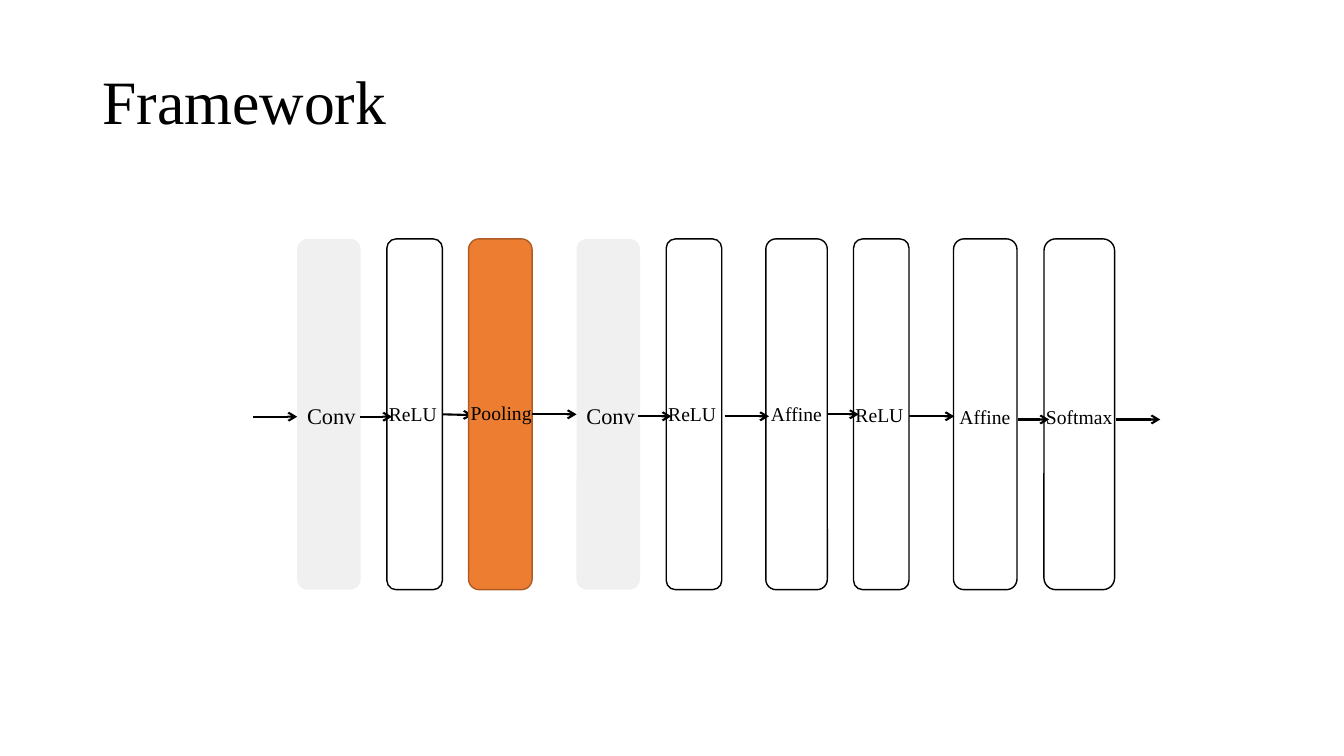
from lxml.etree import SubElement
from pptx import Presentation
from pptx.dml.color import RGBColor
from pptx.enum.shapes import MSO_CONNECTOR, MSO_SHAPE
from pptx.enum.text import MSO_ANCHOR
from pptx.oxml.ns import qn
from pptx.util import Cm, Pt


def color(value):
    return RGBColor.from_string(value)


class Diagram:
    font = "Times New Roman"
    ink = "000000"
    top, height = 6.02, 8.84
    middle = top + height / 2

    def __init__(self, slide):
        self.slide = slide

    def text(self, words, x, y, w, h, size, spacing=1.0):
        sp = self.slide.shapes.add_textbox(Cm(x), Cm(y), Cm(w), Cm(h))
        tf = sp.text_frame
        tf.word_wrap = True
        tf.vertical_anchor = MSO_ANCHOR.MIDDLE
        p = tf.paragraphs[0]
        p.text = words
        p.line_spacing = spacing
        p.font.name = self.font
        p.font.size = Pt(size)
        p.font.color.rgb = color(self.ink)

    def block(self, x, w, fill, line):
        sp = self.slide.shapes.add_shape(
            MSO_SHAPE.ROUNDED_RECTANGLE, Cm(x), Cm(self.top), Cm(w), Cm(self.height))
        sp.shadow.inherit = False
        sp.fill.solid()
        sp.fill.fore_color.rgb = color(fill)
        if line:
            sp.line.color.rgb = color(line)
            sp.line.width = Pt(1)
        else:
            sp.line.fill.background()
        return sp

    def layer(self, name, x, w, label_x, label_y):
        fill, line, size = STYLES.get(name, ("FFFFFF", self.ink, 14))
        sp = self.block(x, w, fill, line)
        self.text(name, label_x, label_y, 2.5, 0.055 * size + 0.08, size)
        return sp

    def arrow(self, x1, x2, y, source=None, target=None):
        cx = self.slide.shapes.add_connector(
            MSO_CONNECTOR.STRAIGHT, Cm(x1), Cm(y), Cm(x2), Cm(y))
        if source and abs(y - self.middle) < 0.03:
            cx.begin_connect(source, 3)
        if target:
            cx.end_connect(target, 1)
        cx.line.color.rgb = color(self.ink)
        cx.line.width = Pt(1.5)
        SubElement(cx.line._get_or_add_ln(), qn("a:tailEnd"), type="arrow")
        SubElement(cx._element.spPr, qn("a:effectLst"))


STYLES = {
    "Conv": ("F1F0F0", None, 16),
    "Pooling": ("ED7D31", "AF5C24", 14),
}

LAYERS = [
    (("Conv", 7.49, 1.6, 7.49, 9.98), (9.07, 9.88, 10.5)),
    (("ReLU", 9.75, 1.4, 9.55, 10.01), (11.15, 11.91, 10.46)),
    (("Conv", 14.53, 1.6, 14.53, 9.98), (16.08, 16.92, 10.49)),
    (("ReLU", 16.79, 1.4, 16.59, 10.01), (18.26, 19.38, 10.49)),
    (("Affine", 19.3, 1.55, 19.18, 10.01), (20.85, 21.64, 10.44)),
    (("ReLU", 21.51, 1.4, 21.31, 10.03), (22.91, 24.05, 10.49)),
    (("Affine", 24.03, 1.6, 23.93, 10.08), (25.65, 26.44, 10.57)),
    (("Softmax", 26.31, 1.78, 26.11, 10.08), (28.12, 29.24, 10.57)),
]


def main():
    prs = Presentation()
    prs.slide_width, prs.slide_height = Cm(33.87), Cm(19.05)
    s = Diagram(prs.slides.add_slide(prs.slide_layouts[6]))
    s.text("Framework", 2.33, 0.79, 29.21, 3.68, 44, 0.9)

    blocks = [s.layer(*layer) for layer, _ in LAYERS]
    s.arrow(6.38, 7.49, 10.5)
    for block, (_, arrow) in zip(blocks, LAYERS):
        s.arrow(*arrow, source=block)

    pooling = s.layer("Pooling", 11.81, 1.6, 11.61, 9.98)
    s.arrow(13.41, 14.53, 10.44, source=pooling, target=blocks[2])
    prs.save("out.pptx")


if __name__ == "__main__":
    main()
